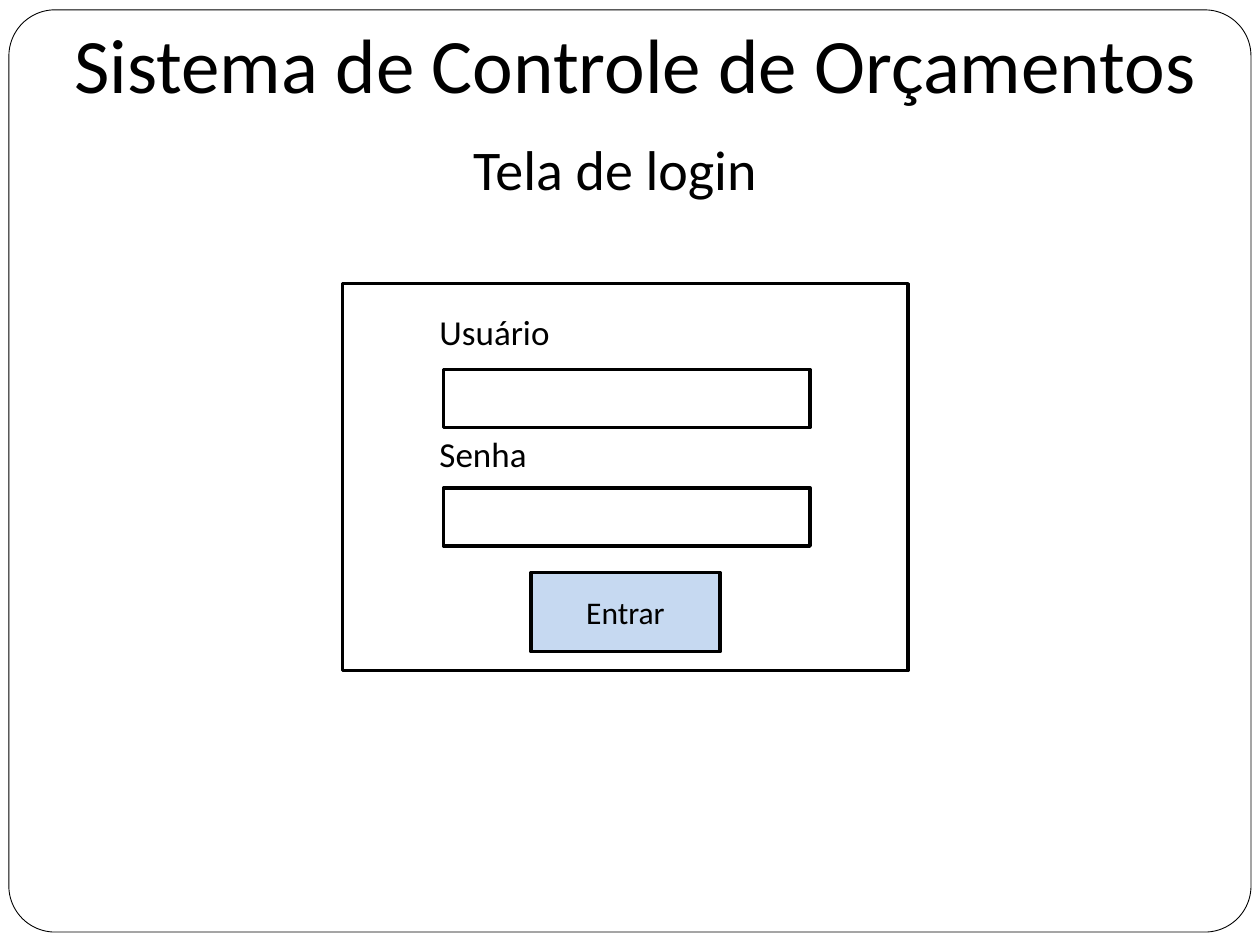
from dataclasses import dataclass

from pptx import Presentation
from pptx.dml.color import RGBColor
from pptx.enum import shapes, text
from pptx.util import Cm, Pt


@dataclass(frozen=True)
class Theme:
    font: str = "Calibri"
    ink: RGBColor = RGBColor(0, 0, 0)
    paper: RGBColor = RGBColor(255, 255, 255)
    button: RGBColor = RGBColor(0xC6, 0xD9, 0xF1)
    title: int = 44
    subtitle: int = 32
    label: int = 20
    action: int = 18
    thin: float = 0.5
    thick: float = 2


THEME = Theme()
LEFT, CENTER = text.PP_ALIGN.LEFT, text.PP_ALIGN.CENTER
RECTANGLE = shapes.MSO_SHAPE.RECTANGLE


def write(shape, wording, size, align=LEFT, anchor=text.MSO_ANCHOR.TOP):
    frame = shape.text_frame
    frame.word_wrap = True
    frame.vertical_anchor = anchor
    para = frame.paragraphs[0]
    para.alignment = align
    span = para.add_run()
    span.text = wording
    span.font.name = THEME.font
    span.font.size = Pt(size)
    span.font.color.rgb = THEME.ink


def add_text(page, box, wording, **style):
    write(page.shapes.add_textbox(*map(Cm, box)), wording, **style)


def add_block(page, box, kind=RECTANGLE, fill=THEME.paper, weight=THEME.thick):
    block = page.shapes.add_shape(kind, *map(Cm, box))
    block.shadow.inherit = False
    block.fill.solid()
    block.fill.fore_color.rgb = fill
    block.line.color.rgb = THEME.ink
    block.line.width = Pt(weight)
    return block


def add_frame(page, box):
    frame = add_block(page, box, shapes.MSO_SHAPE.ROUNDED_RECTANGLE, weight=THEME.thin)
    frame.adjustments[0] = 0.05


def add_headings(page, box):
    left, top, width, height = box
    add_text(page, box, "Sistema de Controle de Orçamentos",
             size=THEME.title, align=CENTER)
    add_text(page, (left + 2.8, top + 2.39, 17.78, height), "Tela de login",
             size=THEME.subtitle, align=CENTER)


def add_login(page, box):
    left, top, width, height = box
    add_block(page, box)

    # Labelled input fields
    for row, label in enumerate(("Usuário", "Senha")):
        add_block(page, (left + 2.03, top + 1.73 + row * 2.39, 7.39, 1.17))
        add_text(page, (left + 1.7, top + 0.41 + row * 2.46, 7.9, 0.94), label,
                 size=THEME.label)

    # Button, centred in the panel
    button_width = 3.81
    button = add_block(page, (left + (width - button_width) / 2, top + 5.82,
                              button_width, 1.6), fill=THEME.button)
    write(button, "Entrar", THEME.action, CENTER, text.MSO_ANCHOR.MIDDLE)


def main():
    deck = Presentation()
    deck.slide_width, deck.slide_height = Cm(25.4), Cm(19.05)
    page = deck.slides.add_slide(deck.slide_layouts[6])
    add_frame(page, (0.18, 0.2, 25.04, 18.59))
    add_headings(page, (0.71, 0.2, 24.21, 1.32))
    add_login(page, (6.91, 5.72, 11.4, 7.8))
    deck.save("out.pptx")


main()
